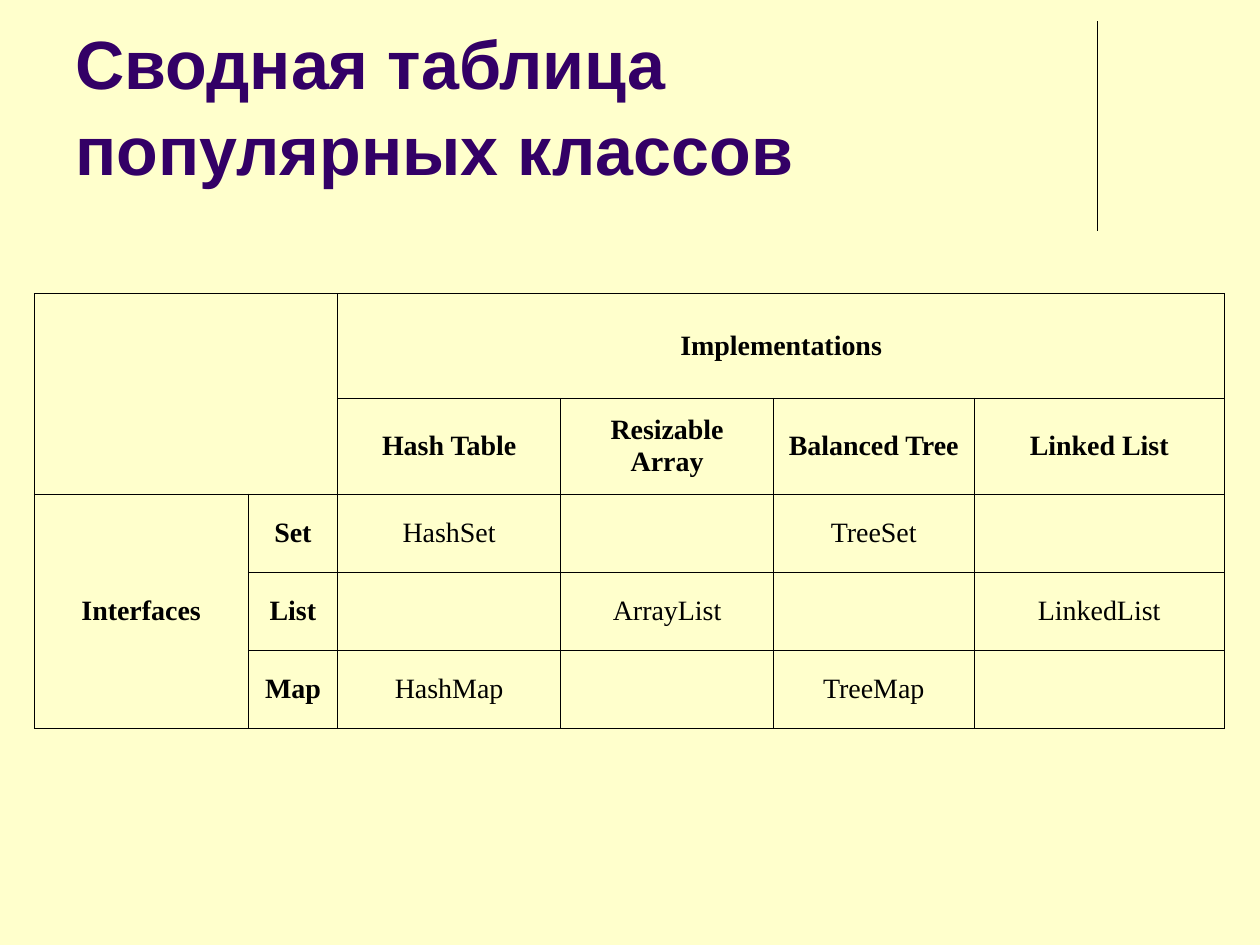
import pptx
import pptx.dml.color
import pptx.enum.shapes
import pptx.enum.text
import pptx.oxml
import pptx.oxml.ns
import pptx.util

Inches, Pt = pptx.util.Inches, pptx.util.Pt
MIDDLE = pptx.enum.text.MSO_ANCHOR.MIDDLE
CENTER = pptx.enum.text.PP_ALIGN.CENTER

COLUMNS = [1.7, 0.71, 1.77, 1.69, 1.59, 1.99]
ROWS = [0.83, 0.76, 0.62, 0.62, 0.62]
CLASSES = [
    ["", "", "Implementations", "", "", ""],
    ["", "", "Hash Table", "Resizable Array", "Balanced Tree", "Linked List"],
    ["Interfaces", "Set", "HashSet", "", "TreeSet", ""],
    ["", "List", "", "ArrayList", "", "LinkedList"],
    ["", "Map", "HashMap", "", "TreeMap", ""],
]
# first row, first column, last row, last column
MERGES = [(0, 0, 1, 1), (0, 2, 0, 5), (2, 0, 4, 0)]
HEADER_ROWS = HEADER_COLUMNS = 2


def color(hex_value):
    return pptx.dml.color.RGBColor.from_string(hex_value)


def set_font(font, hex_value, **values):
    for attribute, value in values.items():
        setattr(font, attribute, value)
    font.color.rgb = color(hex_value)


def add_title(slide, box):
    frame = slide.shapes.add_textbox(*map(Inches, box)).text_frame
    frame.word_wrap = True
    frame.vertical_anchor = pptx.enum.text.MSO_ANCHOR.BOTTOM
    title = frame.paragraphs[0]
    title.text = "Сводная таблица популярных классов"
    title.line_spacing = 1.05
    set_font(title.runs[0].font, "330066", name="Arial", size=Pt(39), bold=True)


def add_divider(slide, x, top, bottom):
    divider = slide.shapes.add_connector(
        pptx.enum.shapes.MSO_CONNECTOR.STRAIGHT, *map(Inches, (x, top, x, bottom)))
    divider.line.color.rgb = color("000000")
    divider.line.width = Pt(0.75)
    properties = divider._element.spPr
    properties.append(properties.makeelement(pptx.oxml.ns.qn("a:effectLst"), {}))


def add_borders(cell, hex_value, width):
    properties = cell._tc.get_or_add_tcPr()
    for position, side in enumerate(("lnL", "lnR", "lnT", "lnB")):
        border = pptx.oxml.parse_xml(
            f'<a:{side} {pptx.oxml.ns.nsdecls("a")} w="{Pt(width)}"><a:solidFill>'
            f'<a:srgbClr val="{hex_value}"/></a:solidFill></a:{side}>')
        properties.insert(position, border)


def add_class_table(slide, left, top):
    table = slide.shapes.add_table(
        len(ROWS), len(COLUMNS), Inches(left), Inches(top),
        Inches(sum(COLUMNS)), Inches(sum(ROWS))).table
    table.first_row = table.horz_banding = False
    for column, width in zip(table.columns, COLUMNS):
        column.width = Inches(width)
    for row, height in zip(table.rows, ROWS):
        row.height = Inches(height)

    for r, names in enumerate(CLASSES):
        for c, name in enumerate(names):
            cell = table.cell(r, c)
            cell.fill.background()
            add_borders(cell, "000000", 0.34)
            cell.vertical_anchor = MIDDLE
            if name:
                cell.text = name
                label = cell.text_frame.paragraphs[0]
                label.alignment = CENTER
                set_font(label.runs[0].font, "000000", name="Times New Roman",
                         size=Pt(16), bold=r < HEADER_ROWS or c < HEADER_COLUMNS)
    for first_row, first_column, last_row, last_column in MERGES:
        table.cell(first_row, first_column).merge(table.cell(last_row, last_column))


def main():
    deck = pptx.Presentation()
    deck.slide_width, deck.slide_height = Inches(10), Inches(7.5)
    slide = deck.slides.add_slide(deck.slide_layouts[6])
    slide.background.fill.solid()
    slide.background.fill.fore_color.rgb = color("FFFFCC")
    add_divider(slide, 8.71, 0.17, 1.83)
    add_title(slide, (0.5, 0.13, 8.25, 1.42))
    add_class_table(slide, 0.27, 2.33)
    deck.save("out.pptx")


if __name__ == "__main__":
    main()
